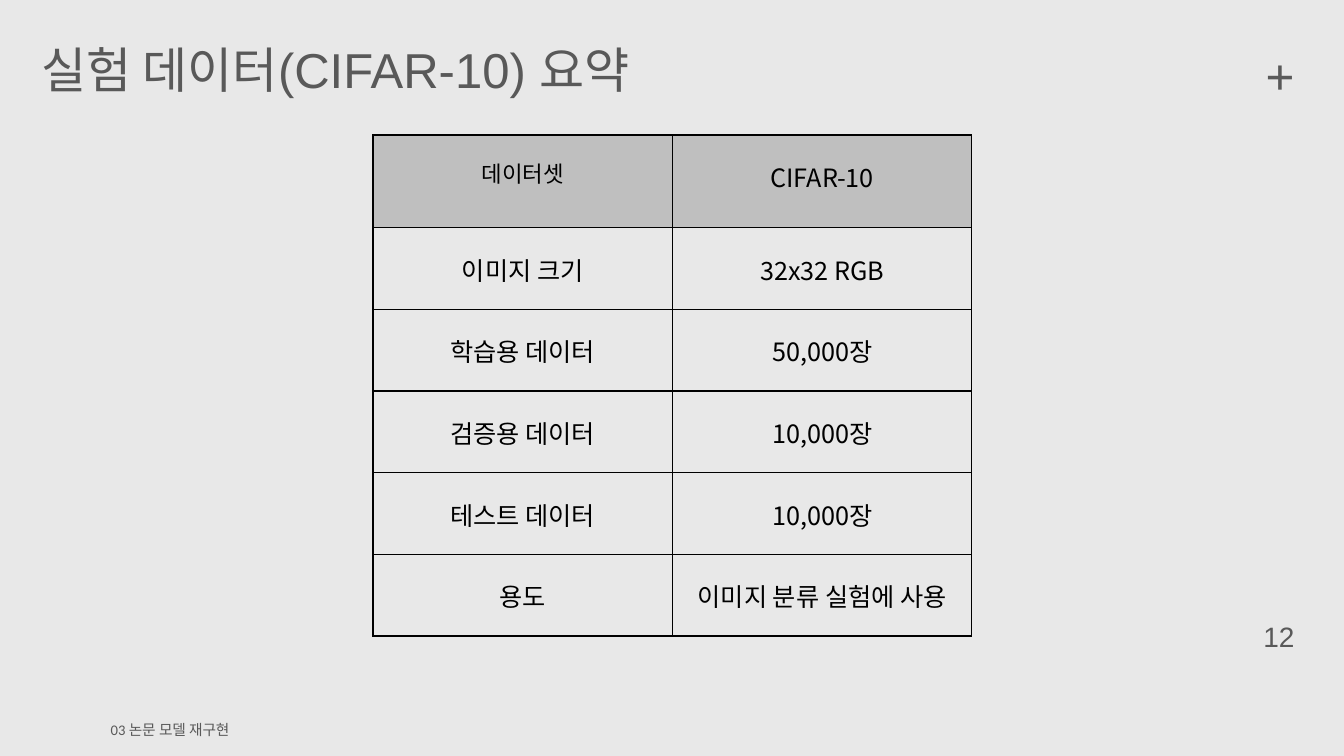
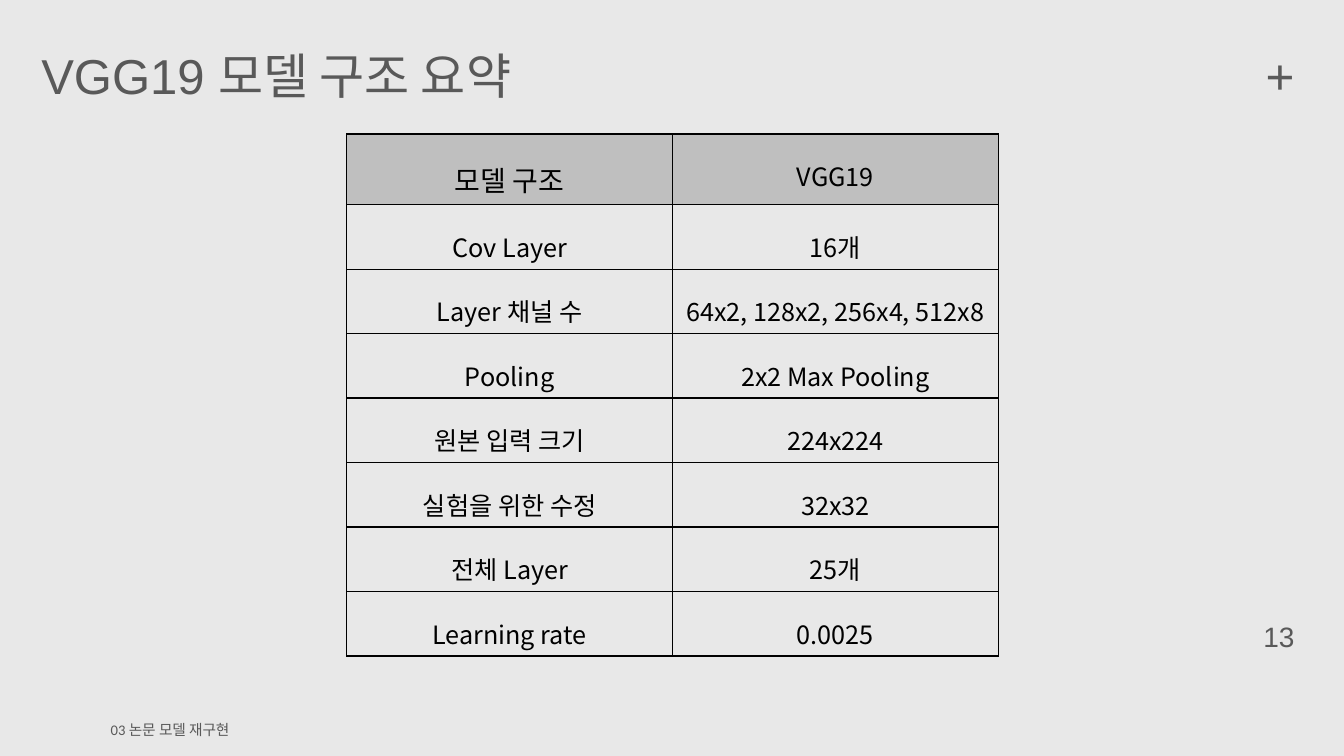
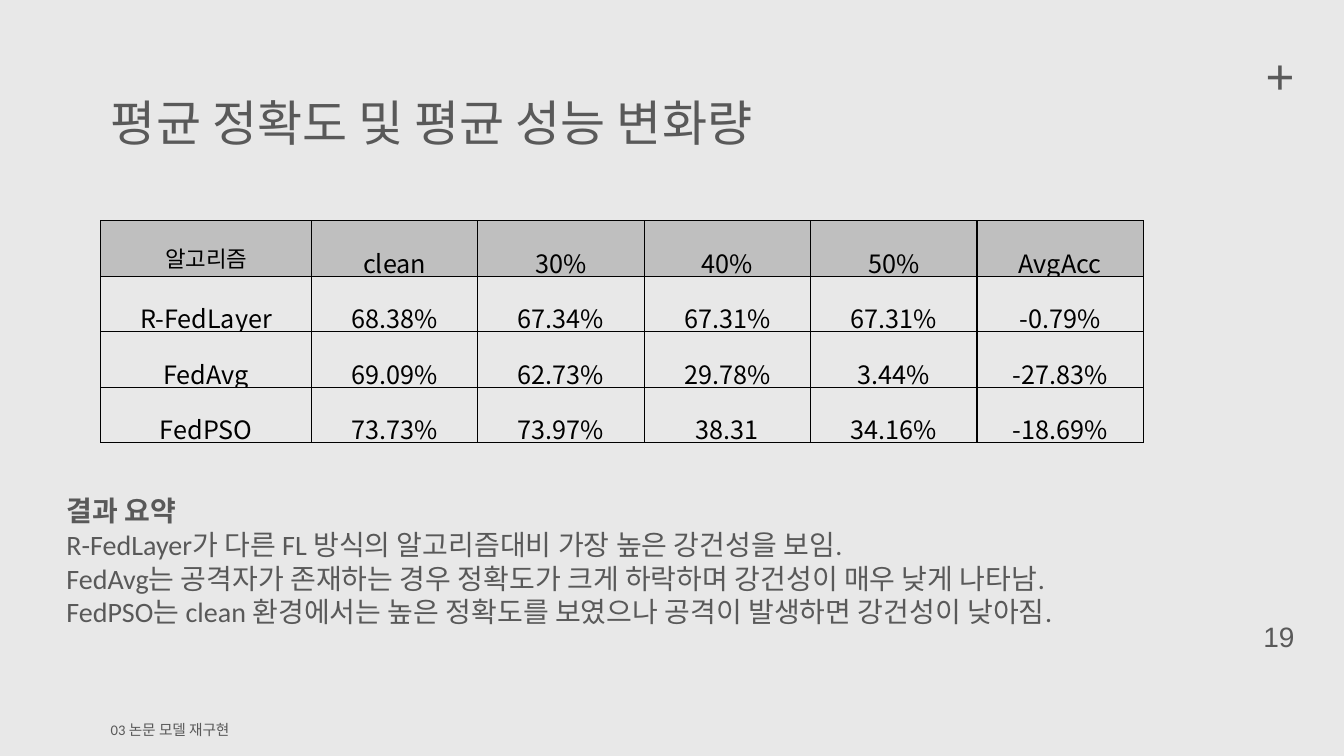
from pptx import Presentation
from pptx.dml.color import RGBColor
from pptx.enum.text import MSO_ANCHOR as Anchor, MSO_AUTO_SIZE as AutoSize, PP_ALIGN as Align
from pptx.oxml.ns import qn
from pptx.util import Inches, Pt
from lxml.etree import SubElement

TITLE_ONLY = 5


def rgb(hex_code):
    return RGBColor.from_string(hex_code)


class Deck:
    """Shared style plus the slide being built."""

    PAPER, HEADER, TEXT, INK = "E8E8E8", "BFBFBF", "595959", "000000"
    SANS, BODY, KOREAN = "Arial", "Calibri", "Noto Sans CJK KR"

    def __init__(self):
        self.prs = Presentation()
        self.prs.slide_width, self.prs.slide_height = Inches(13.33), Inches(7.5)
        background = self.prs.slide_master.background.fill
        background.solid()
        background.fore_color.rgb = rgb(self.PAPER)

    def run(self, paragraph, text, font, size, color=TEXT, bold=False):
        piece = paragraph.add_run()
        piece.text = text
        piece.font.name, piece.font.size, piece.font.bold = font, Pt(size), bold
        piece.font.color.rgb = rgb(color)

    def text(self, left, top, width, height, paragraphs, size, align=Align.LEFT):
        """Each paragraph is a list of (text, font, bold) runs."""
        box = self.slide.shapes.add_textbox(
            Inches(left), Inches(top), Inches(width), Inches(height))
        frame = box.text_frame
        frame.word_wrap = True
        for i, runs in enumerate(paragraphs):
            paragraph = frame.add_paragraph() if i else frame.paragraphs[0]
            paragraph.alignment = align
            for words, font, bold in runs:
                self.run(paragraph, words, font, size, bold=bold)

    def new_slide(self, title, number, left, top, width):
        self.slide = self.prs.slides.add_slide(self.prs.slide_layouts[TITLE_ONLY])
        heading = self.slide.shapes.title
        heading.left, heading.top = Inches(left), Inches(top)
        heading.width, heading.height = Inches(width), Inches(0.69)
        frame = heading.text_frame
        frame.auto_size, frame.vertical_anchor = AutoSize.NONE, Anchor.MIDDLE
        frame.paragraphs[0].alignment = Align.LEFT
        self.run(frame.paragraphs[0], title, self.SANS, 35)
        # Page number, plus sign and section footer
        self.text(12.21, 6.1, 0.95, 0.44, [[(number, self.SANS, False)]], 20, Align.CENTER)
        self.text(12.37, 0.4, 0.65, 0.7, [[("+", self.SANS, False)]], 35.3, Align.CENTER)
        self.text(1, 7.1, 3.04, 0.29, [[("03 논문 ", self.BODY, False),
                                        ("모델 재구현", self.SANS, False)]], 10.5)

    def border(self, cell):
        properties = cell._tc.get_or_add_tcPr()
        for i, side in enumerate(("a:lnL", "a:lnR", "a:lnT", "a:lnB")):
            line = properties.makeelement(qn(side), {"w": str(Pt(1))})
            fill = SubElement(line, qn("a:solidFill"))
            SubElement(fill, qn("a:srgbClr"), val=self.INK)
            properties.insert(i, line)

    def table(self, left, top, widths, heights, rows, corner_size):
        grid = self.slide.shapes.add_table(
            len(rows), len(widths), Inches(left), Inches(top),
            Inches(sum(widths)), Inches(sum(heights))).table
        for column, width in zip(grid.columns, widths):
            column.width = Inches(width)
        for r, (values, height) in enumerate(zip(rows, heights)):
            grid.rows[r].height = Inches(height)
            for c, value in enumerate(values):
                cell = grid.cell(r, c)
                cell.fill.solid()
                cell.fill.fore_color.rgb = rgb(self.PAPER if r else self.HEADER)
                self.border(cell)
                paragraph = cell.text_frame.paragraphs[0]
                paragraph.alignment, paragraph.line_spacing = Align.CENTER, 1.5
                size = corner_size if r == c == 0 else 18
                self.run(paragraph, value, self.KOREAN, size, self.INK)


def main():
    deck = Deck()

    # Data set summary
    deck.new_slide("실험 데이터(CIFAR-10) 요약", "12", 0.31, 0.34, 7.46)
    deck.table(3.7, 1.34, [2.97] * 2, [0.92] + [0.81] * 5, [
        ("데이터셋", "CIFAR-10"),
        ("이미지 크기", "32x32 RGB"),
        ("학습용 데이터", "50,000장"),
        ("검증용 데이터", "10,000장"),
        ("테스트 데이터", "10,000장"),
        ("용도", "이미지 분류 실험에 사용"),
    ], corner_size=16)

    # Model structure summary
    deck.new_slide("VGG19 모델 구조 요약", "13", 0.31, 0.4, 7.46)
    deck.table(3.44, 1.33, [3.23] * 2, [0.7] + [0.64] * 7, [
        ("모델 구조", "VGG19"),
        ("Cov Layer", "16개"),
        ("Layer 채널 수", "64x2, 128x2, 256x4, 512x8"),
        ("Pooling", "2x2 Max Pooling"),
        ("원본 입력 크기", "224x224"),
        ("실험을 위한 수정", "32x32"),
        ("전체 Layer", "25개"),
        ("Learning rate", "0.0025"),
    ], corner_size=20)

    # Accuracy results and findings
    deck.new_slide("평균 정확도 및 평균 성능 변화량", "19", 1, 0.86, 9.35)
    deck.table(1, 2.19, [2.09] + [1.65] * 5, [0.55] * 4, [
        ("알고리즘", "clean", "30%", "40%", "50%", "AvgAcc"),
        ("R-FedLayer", "68.38%", "67.34%", "67.31%", "67.31%", "-0.79%"),
        ("FedAvg", "69.09%", "62.73%", "29.78%", "3.44%", "-27.83%"),
        ("FedPSO", "73.73%", "73.97%", "38.31", "34.16%", "-18.69%"),
    ], corner_size=16)
    findings = [
        "결과 요약",
        "R-FedLayer가 다른 FL 방식의 알고리즘대비 가장 높은 강건성을 보임.",
        "FedAvg는 공격자가 존재하는 경우 정확도가 크게 하락하며 강건성이 매우 낮게 나타남.",
        "FedPSO는 clean 환경에서는 높은 정확도를 보였으나 공격이 발생하면 강건성이 낮아짐.",
    ]
    deck.text(0.56, 4.85, 11.81, 1.45,
              [[(line, deck.BODY, i == 0)] for i, line in enumerate(findings)], 20)

    deck.prs.save("out.pptx")


if __name__ == "__main__":
    main()
